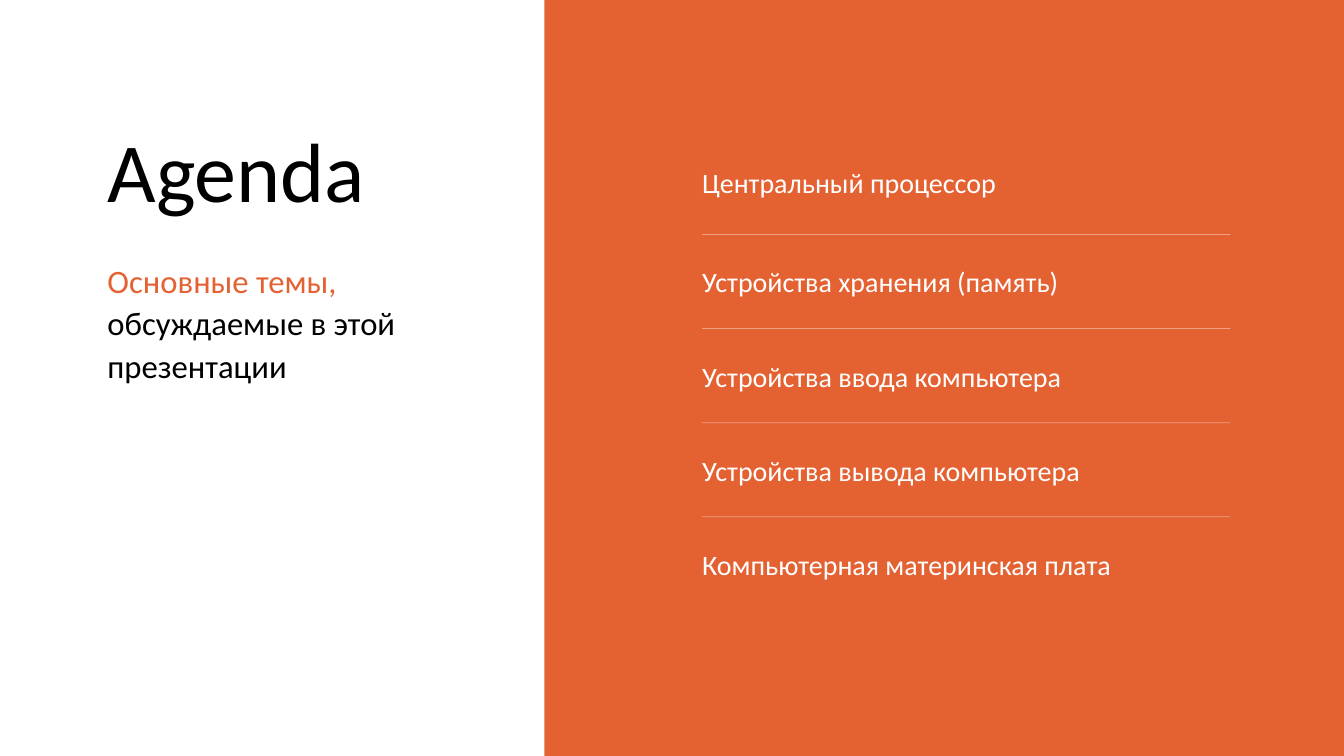
from lxml.etree import SubElement
from pptx import Presentation
from pptx.dml.color import RGBColor
from pptx.enum.shapes import MSO_CONNECTOR, MSO_SHAPE
from pptx.enum.text import MSO_ANCHOR, MSO_AUTO_SIZE, PP_ALIGN
from pptx.oxml.ns import qn
from pptx.util import Inches, Pt

ORANGE = RGBColor(0xE4, 0x62, 0x32)
WHITE = RGBColor(0xFF, 0xFF, 0xFF)
BLACK = RGBColor(0x00, 0x00, 0x00)

TOPICS = [
    "Центральный процессор",
    "Устройства хранения (память)",
    "Устройства ввода компьютера",
    "Устройства вывода компьютера",
    "Компьютерная материнская плата",
]
LEFT_X, LEFT_W = 1.6, 5.06
TOPIC_X, TOPIC_W, TOPIC_H = 10.45, 7.86, 0.61
FIRST_TOPIC_Y = 2.38
FIRST_DIVIDER_Y, ROW_STEP, DIVIDER_GAP = 3.49, 1.4, 0.37


def write(shape, parts, size, leading):
    """Fill a shape with one paragraph made of (text, colour) parts."""
    frame = shape.text_frame
    frame.margin_left = frame.margin_right = 0
    frame.margin_top = frame.margin_bottom = 0
    frame.word_wrap = True
    frame.auto_size = MSO_AUTO_SIZE.NONE
    frame.vertical_anchor = MSO_ANCHOR.TOP
    paragraph = frame.paragraphs[0]
    paragraph.alignment = PP_ALIGN.LEFT
    paragraph.line_spacing = Pt(leading)
    paragraph.font.size = Pt(size)
    paragraph.font.name = "Calibri"
    if len(parts) == 1:
        paragraph.font.color.rgb = parts[0][1]
    for text, color in parts:
        run = paragraph.add_run()
        run.text = text
        if len(parts) > 1:
            run.font.color.rgb = color


prs = Presentation()
prs.slide_width = Inches(20)
prs.slide_height = Inches(11.25)
slide = prs.slides.add_slide(prs.slide_layouts[5])
shapes = slide.shapes

# Left side: heading and subtitle
title = shapes.title
title.left, title.top = Inches(LEFT_X), Inches(1.76)
title.width, title.height = Inches(LEFT_W), Inches(1.66)
write(title, [("Agenda", BLACK)], 90, 108)

subtitle = shapes.add_textbox(Inches(LEFT_X), Inches(3.83), Inches(LEFT_W), Inches(1.91))
write(subtitle, [("Основные темы, ", ORANGE), ("обсуждаемые в этой презентации", BLACK)], 35, 45.5)

# Right side: panel with the topics
panel = shapes.add_shape(MSO_SHAPE.RECTANGLE, Inches(8.1), 0, Inches(11.9), prs.slide_height)
panel.shadow.inherit = False
panel.fill.solid()
panel.fill.fore_color.rgb = ORANGE
panel.line.fill.background()

for row, topic in enumerate(TOPICS):
    divider_y = FIRST_DIVIDER_Y + (row - 1) * ROW_STEP
    topic_y = divider_y + DIVIDER_GAP if row else FIRST_TOPIC_Y
    label = shapes.add_textbox(Inches(TOPIC_X), Inches(topic_y), Inches(TOPIC_W), Inches(TOPIC_H))
    write(label, [(topic, WHITE)], 30, 42)
    if row:
        divider = shapes.add_connector(
            MSO_CONNECTOR.STRAIGHT,
            Inches(TOPIC_X), Inches(divider_y),
            Inches(TOPIC_X + TOPIC_W), Inches(divider_y),
        )
        divider.line.width = Pt(0.75)
        divider.line.color.rgb = WHITE
        properties = divider._element.spPr
        white = properties.find(".//" + qn("a:srgbClr"))
        SubElement(white, qn("a:alpha"), val="40000")
        SubElement(properties, qn("a:effectLst"))

prs.save("out.pptx")
